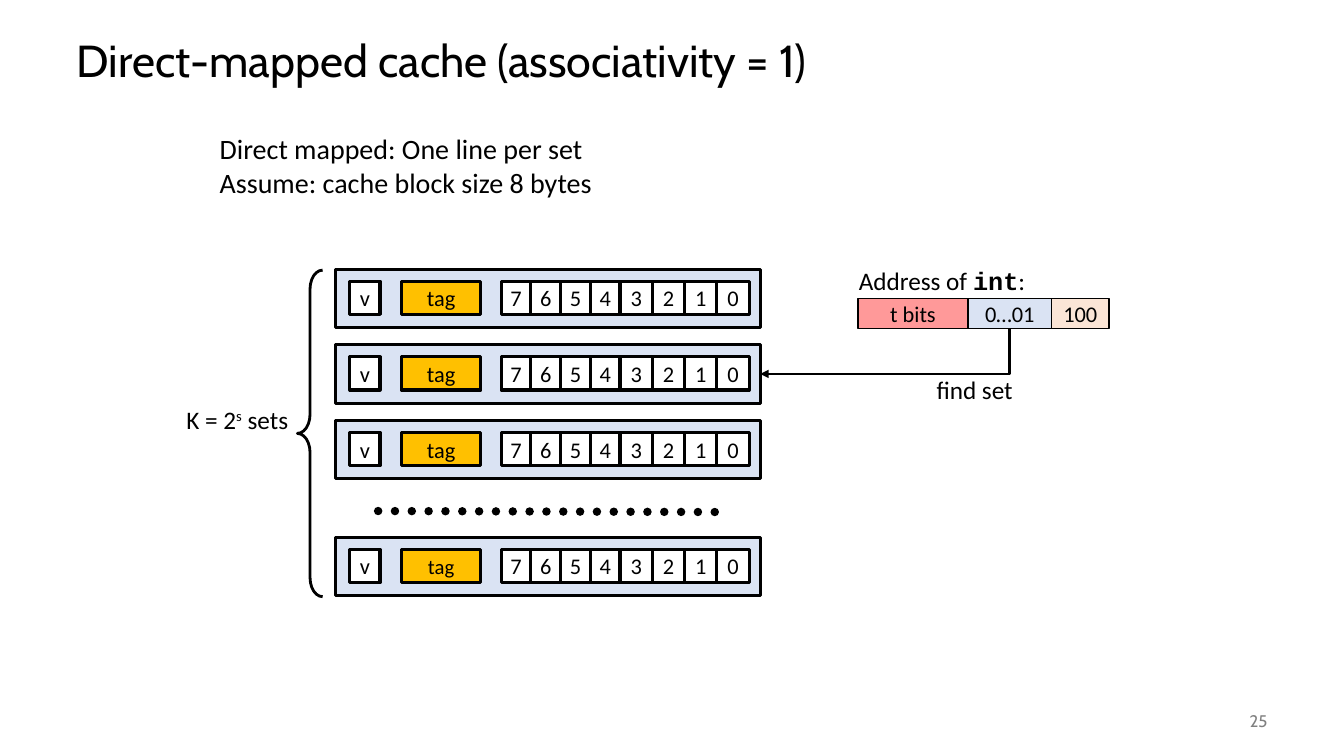
from itertools import accumulate

from lxml.etree import SubElement
from pptx import Presentation
from pptx.dml.color import RGBColor
from pptx.enum.dml import MSO_LINE
from pptx.enum.shapes import MSO_CONNECTOR, MSO_SHAPE
from pptx.enum.text import MSO_ANCHOR, MSO_AUTO_SIZE, PP_ALIGN
from pptx.oxml.ns import qn
from pptx.util import Inches, Pt

COLOURS = {
    "ink": "000000",
    "set": "DAE3F3",
    "cell": "FFFFFF",
    "tag": "FFC000",
    "tag_bits": "FF9999",
    "offset_bits": "FBE5D6",
    "number": "808080",
}


def colour(name):
    return RGBColor.from_string(COLOURS[name])


def write(frame, text, size=18, font="Calibri", ink="ink", align=PP_ALIGN.LEFT,
          anchor=MSO_ANCHOR.TOP, wrap=False, fit=MSO_AUTO_SIZE.NONE, spacing=None):
    frame.word_wrap = wrap
    frame.auto_size = fit
    frame.vertical_anchor = anchor
    lines = [[(line, {})] for line in text.split("\n")] if isinstance(text, str) else [text]
    for index, pieces in enumerate(lines):
        paragraph = frame.add_paragraph() if index else frame.paragraphs[0]
        paragraph.alignment = align
        paragraph.line_spacing = spacing
        for words, special in pieces:
            run = paragraph.add_run()
            run.text = words
            run.font.size = Pt(size)
            run.font.name = special.get("font", font)
            run.font.bold = special.get("bold", False)
            run.font.color.rgb = colour(ink)
            if "baseline" in special:
                run.font._element.set("baseline", str(special["baseline"]))


class CacheSlide:
    def __init__(self, deck):
        self.slide = deck.slides.add_slide(deck.slide_layouts[5])
        self.shapes = self.slide.shapes

    def title(self, text, left, top, width, height):
        heading = self.shapes.title
        heading.left, heading.top = Inches(left), Inches(top)
        heading.width, heading.height = Inches(width), Inches(height)
        write(heading.text_frame, text, size=32, font="Cabin",
              anchor=MSO_ANCHOR.MIDDLE, wrap=True, spacing=0.9)

    def label(self, text, left, top, width, height, **style):
        area = self.shapes.add_textbox(Inches(left), Inches(top), Inches(width), Inches(height))
        write(area.text_frame, text, **{"fit": MSO_AUTO_SIZE.SHAPE_TO_FIT_TEXT, **style})

    def box(self, left, top, width, height, fill, text="", weight=2.25, size=16):
        area = self.shapes.add_shape(MSO_SHAPE.RECTANGLE, Inches(left), Inches(top),
                                     Inches(width), Inches(height))
        area.shadow.inherit = False
        area.fill.solid()
        area.fill.fore_color.rgb = colour(fill)
        area.line.color.rgb = colour("ink")
        area.line.width = Pt(weight)
        if text:
            write(area.text_frame, text, size=size, align=PP_ALIGN.CENTER,
                  anchor=MSO_ANCHOR.MIDDLE)
        return area

    def brace(self, left, top, width, height):
        bracket = self.shapes.add_shape(MSO_SHAPE.LEFT_BRACE, Inches(left), Inches(top),
                                        Inches(width), Inches(height))
        bracket.shadow.inherit = False
        bracket.adjustments[0] = 0.75
        bracket.fill.background()
        bracket.line.color.rgb = colour("ink")
        bracket.line.width = Pt(2)

    def connector(self, kind, start, end, weight):
        link = self.shapes.add_connector(kind, *(Inches(value) for value in (*start, *end)))
        link.line.color.rgb = colour("ink")
        link.line.width = Pt(weight)
        SubElement(link._element.spPr, qn("a:effectLst"))
        return link

    def dots(self, start, end):
        ellipsis = self.connector(MSO_CONNECTOR.STRAIGHT, start, end, 6)
        ellipsis.line.dash_style = MSO_LINE.ROUND_DOT
        ellipsis.line._get_or_add_ln().set("cap", "rnd")

    def corner_arrow(self, source, target, start, end):
        arrow = self.connector(MSO_CONNECTOR.ELBOW, start, end, 2)
        arrow.begin_connect(source, 2)
        arrow.end_connect(target, 3)
        across, down = start[0] - end[0], end[1] - start[1]
        arrow.left = Inches((start[0] + end[0] - down) / 2)
        arrow.top = Inches((start[1] + end[1] - across) / 2)
        arrow.width, arrow.height = Inches(down), Inches(across)
        properties = arrow._element.spPr
        frame = properties.find(qn("a:xfrm"))
        frame.attrib.pop("flipH", None)
        frame.set("rot", str(90 * 60000))
        properties.find(qn("a:prstGeom")).set("prst", "bentConnector2")
        SubElement(arrow.line._get_or_add_ln(), qn("a:tailEnd"), type="triangle")

    def cache_set(self, top, tag_size=16):
        row = self.box(3.33, top, 4.21, 0.58, "set")
        cell_top, cell_height = top + 0.12, 0.33
        self.box(3.47, cell_top, 0.3, cell_height, "cell", "v")
        self.box(3.98, cell_top, 0.79, cell_height, "tag", "tag", size=tag_size)
        widths = [0.295] * 4 + [0.32] * 4
        lefts = accumulate(widths, initial=4.97)
        for byte, left, width in zip("76543210", lefts, widths):
            self.box(left, cell_top, width, cell_height, "cell", byte)
        return row


def main():
    deck = Presentation()
    deck.slide_width, deck.slide_height = Inches(13.33), Inches(7.5)
    page = CacheSlide(deck)
    page.title("Direct-mapped cache (associativity = 1)", 0.66, 0.25, 12, 0.75)
    page.label("Direct mapped: One line per set\nAssume: cache block size 8 bytes",
               2.08, 1.26, 3.93, 0.77, size=20)

    page.brace(2.95, 2.68, 0.25, 3.24)
    page.label([("K = 2", {}), ("s", {"baseline": 30000}), (" sets", {})],
               1.75, 3.96, 1.25, 0.4)
    first_set, selected_set, third_set = [page.cache_set(2.67 + 0.75 * i) for i in range(3)]
    page.dots((3.75, 5.07), (7.17, 5.08))
    page.cache_set(5.33, tag_size=14.8)

    page.label([("Address of ", {}), ("int", {"font": "Courier New", "bold": True}), (":", {})],
               8.42, 2.58, 1.87, 0.4)
    address_top, address_height = 2.96, 0.3
    page.box(8.51, address_top, 1.09, address_height, "tag_bits", "t bits", weight=1)
    set_index = page.box(9.6, address_top, 0.83, address_height, "set", "0…01", weight=1)
    page.box(10.43, address_top, 0.57, address_height, "offset_bits", "100", weight=1)
    page.corner_arrow(set_index, selected_set, (10.01, 3.26), (7.54, 3.71))
    page.label("find set", 9.19, 3.66, 0.98, 0.4)

    page.label("25", 11.67, 6.95, 1, 0.4, size=12, font="Cabin", ink="number",
               align=PP_ALIGN.RIGHT, anchor=MSO_ANCHOR.MIDDLE, wrap=True,
               fit=MSO_AUTO_SIZE.NONE)
    deck.save("out.pptx")


if __name__ == "__main__":
    main()
